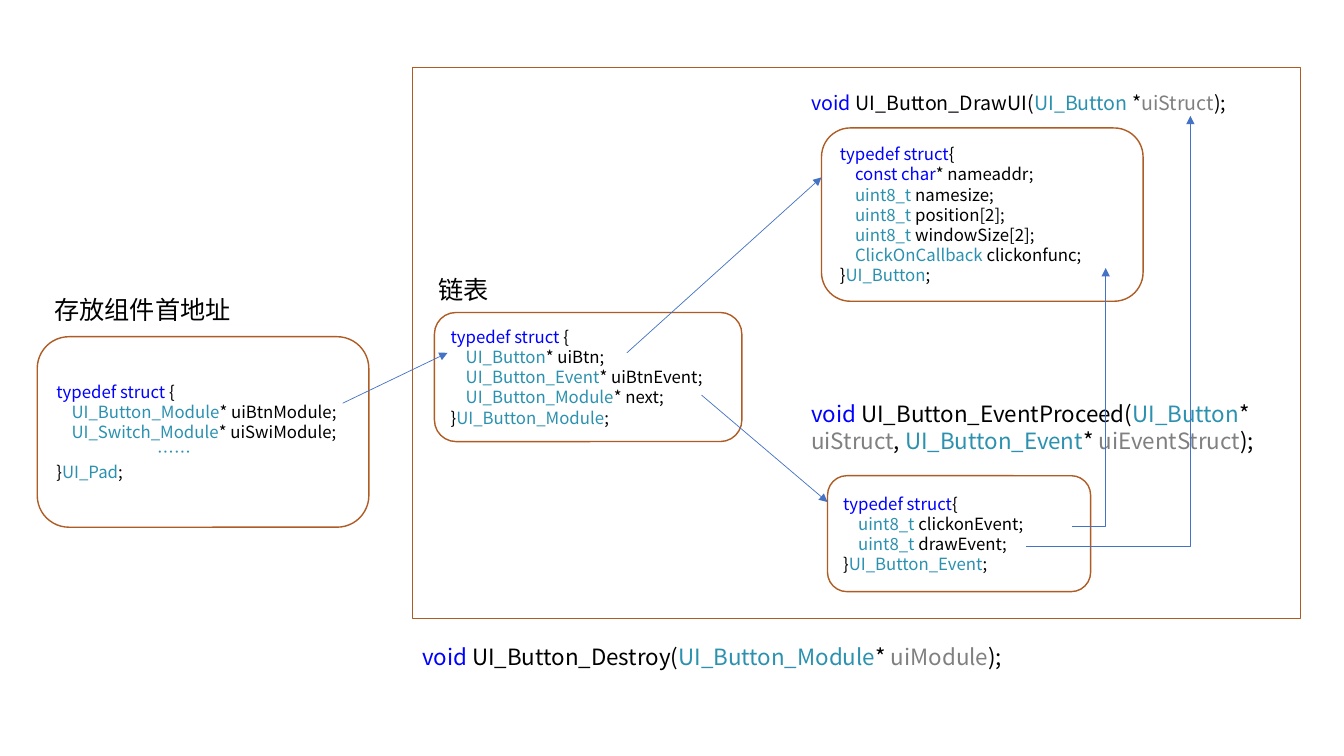
from pptx import Presentation
from pptx.util import Pt
from pptx.dml.color import RGBColor
from pptx.enum.shapes import MSO_SHAPE as SHAPE, MSO_CONNECTOR as LINE
from pptx.enum.text import MSO_ANCHOR as ANCHOR, PP_ALIGN as ALIGN
from pptx.oxml.ns import qn
from lxml.etree import SubElement

FONT = "Noto Sans CJK SC"
BROWN, BLUE = "AF5C24", "4472C4"
# The first character of a code piece selects its colour; others are black
SYNTAX = {"#": "0000FF", "@": "2B91AF", "~": "808080"}


def color(value):
    return RGBColor.from_string(value)


def write_code(frame, lines, size):
    """Pieces are separated by "|"; each line is (left indent, pieces)."""
    for number, (indent, pieces) in enumerate(lines):
        line = frame.paragraphs[0] if number == 0 else frame.add_paragraph()
        line.alignment = ALIGN.LEFT
        if indent:
            properties = line._p.get_or_add_pPr()
            properties.set("marL", str(Pt(indent)))
            properties.set("indent", "0")
        for piece in pieces.split("|"):
            run = line.add_run()
            run.text = piece[1:] if piece[0] in SYNTAX else piece
            run.font.size = Pt(size)
            run.font.name = FONT
            run.font.color.rgb = color(SYNTAX.get(piece[0], "000000"))
            SubElement(run._r.get_or_add_rPr(), qn("a:ea"), typeface=FONT)


deck = Presentation()
deck.slide_width, deck.slide_height = Pt(960), Pt(540)
slide = deck.slides.add_slide(deck.slide_layouts[6])
shapes = slide.shapes

# Struct boxes and the frame around the button module
MEMBER = 10.8
structs = [
    (SHAPE.ROUNDED_RECTANGLE, (26.6, 240.5, 236.9, 136.1), [
        (0, "#typedef struct| {"),
        (MEMBER, "@UI_Button_Module|* uiBtnModule;"),
        (MEMBER, "@UI_Switch_Module|* uiSwiModule;"),
        (72, "@……"),
        (0, "}|@UI_Pad|;")]),
    (SHAPE.ROUNDED_RECTANGLE, (310.3, 223.2, 219.6, 92.2), [
        (0, "#typedef struct| {"),
        (MEMBER, "@UI_Button|* uiBtn;"),
        (MEMBER, "@UI_Button_Event|* uiBtnEvent;"),
        (MEMBER, "@UI_Button_Module|* next;"),
        (0, "}|@UI_Button_Module|;")]),
    (SHAPE.ROUNDED_RECTANGLE, (586.8, 91.4, 229.7, 123.8), [
        (0, "#typedef struct|{"),
        (MEMBER, "#const char|* nameaddr;"),
        (MEMBER, "@uint8_t| namesize;"),
        (MEMBER, "@uint8_t| position[2];"),
        (MEMBER, "@uint8_t| windowSize[2];"),
        (MEMBER, "@ClickOnCallback| clickonfunc;"),
        (0, "}|@UI_Button|;")]),
    (SHAPE.ROUNDED_RECTANGLE, (591.1, 339.8, 187.9, 82.8), [
        (0, "#typedef struct|{"),
        (MEMBER, "@uint8_t| clickonEvent;"),
        (MEMBER, "@uint8_t| drawEvent;"),
        (0, "}|@UI_Button_Event|;")]),
    (SHAPE.RECTANGLE, (294.5, 48.2, 634.3, 393.8), []),
]
for outline, place, code in structs:
    box = shapes.add_shape(outline, *map(Pt, place))
    box.shadow.inherit = False
    box.fill.background()
    box.line.color.rgb = color(BROWN)
    box.line.width = Pt(1)
    box.text_frame.vertical_anchor = ANCHOR.MIDDLE
    box.text_frame.word_wrap = True
    write_code(box.text_frame, code, 12)

# Function signatures and box headings
labels = [
    ((572.4, 61.2, 317.5, 24.5), 14, True,
     "#void| UI_Button_DrawUI(|@UI_Button| *|~uiStruct|);"),
    ((572.4, 282.2, 344.2, 46.1), 16, True,
     "#void| UI_Button_EventProceed(|@UI_Button|* |~uiStruct|, "
     "|@UI_Button_Event|* |~uiEventStruct|);"),
    ((294.5, 455.8, 437, 26.6), 16, True,
     "#void| UI_Button_Destroy(|@UI_Button_Module|* |~uiModule|);"),
    ((306, 192.2, 51.1, 28.8), 18, False, "链表"),
    ((31.7, 206.6, 141.8, 28.8), 18, False, "存放组件首地址"),
]
for place, size, wraps, code in labels:
    label = shapes.add_textbox(*map(Pt, place))
    label.text_frame.word_wrap = wraps
    write_code(label.text_frame, [(0, code)], size)

# Arrows from pointer members to structs, and from events to their targets
arrows = [
    (LINE.STRAIGHT, (244.8, 288, 319.7, 252)),
    (LINE.STRAIGHT, (447.8, 252, 586.8, 126.7)),
    (LINE.STRAIGHT, (501.1, 282.2, 591.1, 358.6)),
    (LINE.ELBOW, (733, 390.2, 850.3, 82.8)),
    (LINE.ELBOW, (766.1, 376.2, 789.8, 191.5)),
]
for route, ends in arrows:
    arrow = shapes.add_connector(route, *map(Pt, ends))
    arrow.line.color.rgb = color(BLUE)
    arrow.line.width = Pt(0.5)
    SubElement(arrow.line._get_or_add_ln(), qn("a:tailEnd"), type="triangle")
    SubElement(arrow._element.spPr, qn("a:effectLst"))
    if route == LINE.ELBOW:  # one bend: across, then up
        arrow._element.spPr.find(qn("a:prstGeom")).set("prst", "bentConnector2")

deck.save("out.pptx")
